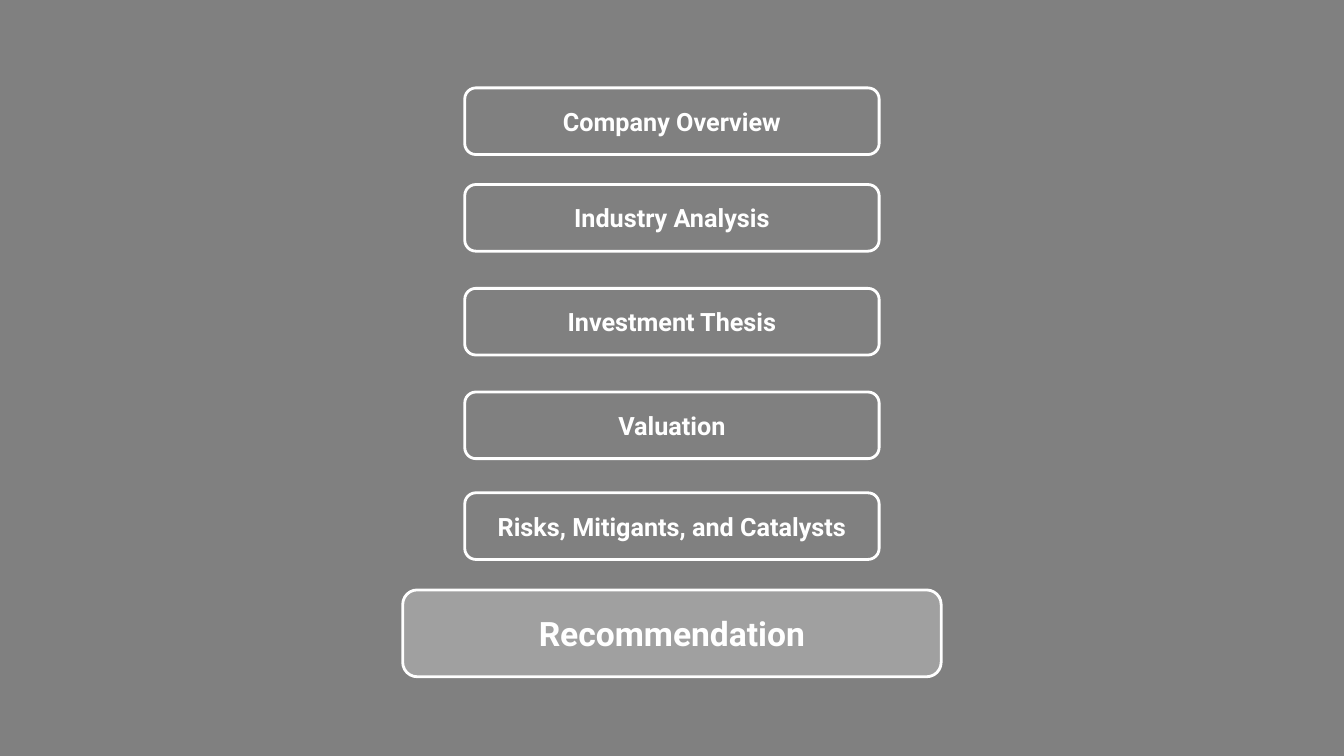
from lxml.etree import SubElement
from pptx import Presentation
from pptx.dml.color import RGBColor
from pptx.enum.shapes import MSO_SHAPE
from pptx.enum.text import MSO_ANCHOR, PP_ALIGN
from pptx.oxml.ns import qn
from pptx.util import Pt

WHITE = RGBColor(0xFF, 0xFF, 0xFF)
GREY = RGBColor(0x80, 0x80, 0x80)
SLIDE_WIDTH, SLIDE_HEIGHT = 960, 540

# Agenda sections and the top of each box, in points
SECTIONS = [
    ("Company Overview", 62.8),
    ("Industry Analysis", 131.8),
    ("Investment Thesis", 206),
    ("Valuation", 280),
    ("Risks, Mitigants, and Catalysts", 352),
]


def write_text(shape, text, *, size, font="Roboto", color=WHITE, bold=True):
    frame = shape.text_frame
    frame.word_wrap = True
    frame.vertical_anchor = MSO_ANCHOR.MIDDLE
    paragraph = frame.paragraphs[0]
    paragraph.alignment = PP_ALIGN.CENTER
    run = paragraph.add_run()
    run.text = text
    run.font.name = font
    run.font.size = Pt(size)
    run.font.bold = bold
    run.font.color.rgb = color


class AgendaSlide:
    """Holds the current slide and the style of its elements."""

    border = 2

    def __init__(self, slide):
        self.slide = slide

    def _shape(self, kind, left, top, width, height, line, line_width):
        shape = self.slide.shapes.add_shape(
            kind, Pt(left), Pt(top), Pt(width), Pt(height))
        shape.shadow.inherit = False
        shape.line.color.rgb = line
        shape.line.width = Pt(line_width)
        return shape

    def backdrop(self, color):
        panel = self._shape(MSO_SHAPE.RECTANGLE, 0, 0,
                            SLIDE_WIDTH, SLIDE_HEIGHT, color, 1)
        panel.fill.solid()
        panel.fill.fore_color.rgb = color

    def section(self, text, top, width=296, height=47.6, size=18, opacity=0):
        """Add a centred box, filled with white when opacity (%) is given."""
        box = self._shape(MSO_SHAPE.ROUNDED_RECTANGLE,
                          (SLIDE_WIDTH - width) / 2, top, width, height,
                          WHITE, self.border)
        if opacity:
            box.fill.solid()
            box.fill.fore_color.rgb = WHITE
            color = box.fill._xPr.find(qn("a:solidFill"))[0]
            SubElement(color, qn("a:alpha")).set("val", str(opacity * 1000))
        else:
            box.fill.background()
        write_text(box, text, size=size)


def main():
    deck = Presentation()
    deck.slide_width, deck.slide_height = Pt(SLIDE_WIDTH), Pt(SLIDE_HEIGHT)
    agenda = AgendaSlide(deck.slides.add_slide(deck.slide_layouts[6]))

    # Background
    agenda.backdrop(GREY)

    # Agenda sections
    for name, top in SECTIONS:
        agenda.section(name, top)

    # Current section, larger and highlighted
    agenda.section("Recommendation", 421.4, width=384.6, height=62,
                   size=24, opacity=26)

    deck.save("out.pptx")


if __name__ == "__main__":
    main()
